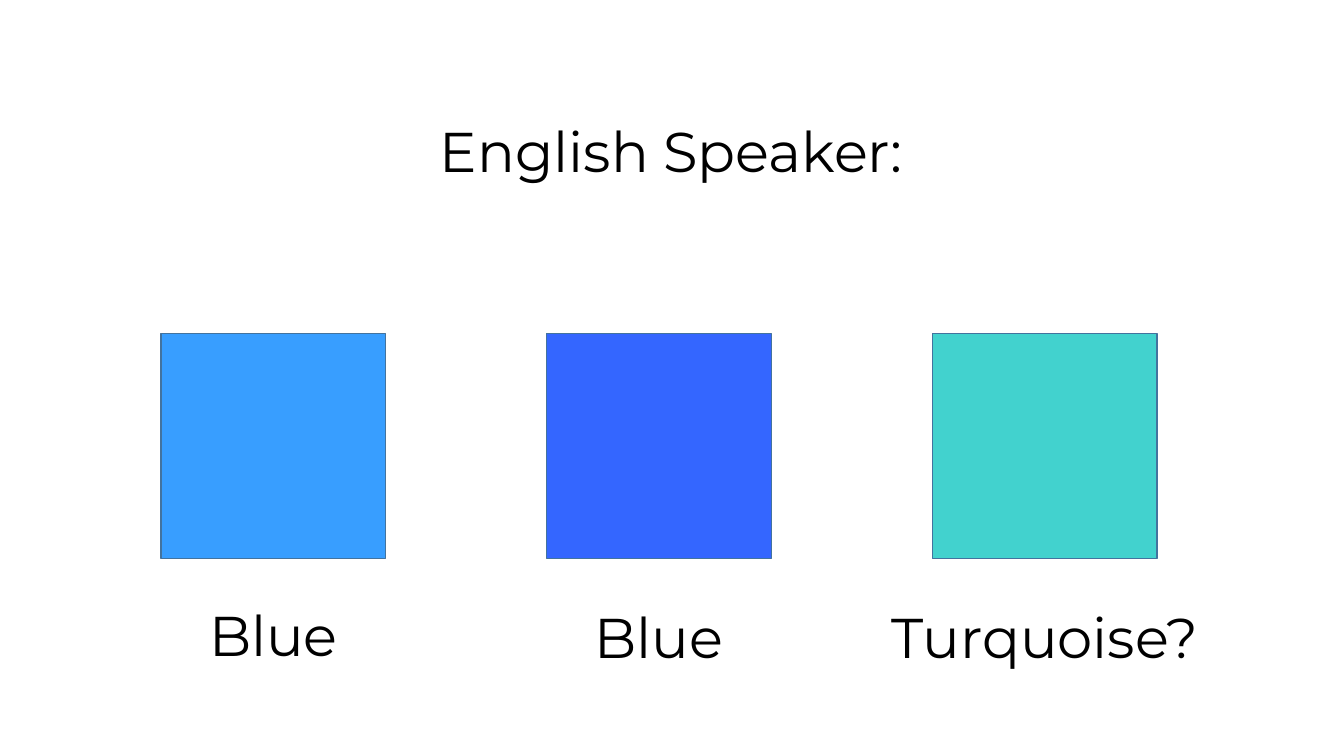
"""Build a slide of three colour swatches as an English speaker names them."""
from dataclasses import dataclass

from pptx import Presentation
from pptx.dml.color import RGBColor
from pptx.enum.shapes import MSO_SHAPE
from pptx.enum.text import MSO_ANCHOR, PP_ALIGN
from pptx.slide import Slide
from pptx.util import Cm, Pt

RECTANGLE = MSO_SHAPE.RECTANGLE
MIDDLE = MSO_ANCHOR.MIDDLE
CENTER = PP_ALIGN.CENTER

COLORS = {
    "text": "000000",
    "outline": "43739E",
    "light_blue": "389EFF",
    "blue": "3466FF",
    "turquoise": "42D2CE",
}
FONT = "Montserrat"
FONT_SIZE = 40

SWATCH_LEFT = 4.06
SWATCH_TOP = 8.41
SWATCH_SIZE = 5.66
SWATCH_PITCH = 9.72
LABEL_HEIGHT = 2.29


@dataclass(frozen=True)
class Box:
    left: float
    top: float
    width: float
    height: float

    def lengths(self) -> tuple[Cm, Cm, Cm, Cm]:
        return Cm(self.left), Cm(self.top), Cm(self.width), Cm(self.height)


@dataclass(frozen=True)
class Swatch:
    color: str
    label: str
    label_top: float
    label_width: float


SWATCHES = [
    Swatch("light_blue", "Blue", 14.95, 4.65),
    Swatch("blue", "Blue", 15, 4.65),
    Swatch("turquoise", "Turquoise?", 15, 8.48),
]


def rgb(color: str) -> RGBColor:
    return RGBColor.from_string(COLORS[color])


def add_caption(slide: Slide, wording: str, box: Box) -> None:
    frame = slide.shapes.add_textbox(*box.lengths()).text_frame
    frame.word_wrap = True
    frame.vertical_anchor = MIDDLE
    paragraph = frame.paragraphs[0]
    paragraph.alignment = CENTER
    paragraph.line_spacing = 0.9
    run = paragraph.add_run()
    run.text = wording
    run.font.name = FONT
    run.font.size = Pt(FONT_SIZE)
    run.font.color.rgb = rgb("text")


def add_swatch(slide: Slide, swatch: Swatch, column: int) -> None:
    left = SWATCH_LEFT + column * SWATCH_PITCH
    box = Box(left, SWATCH_TOP, SWATCH_SIZE, SWATCH_SIZE)
    square = slide.shapes.add_shape(RECTANGLE, *box.lengths())
    square.shadow.inherit = False
    square.fill.solid()
    square.fill.fore_color.rgb = rgb(swatch.color)
    square.line.color.rgb = rgb("outline")
    square.line.width = Pt(1)

    label_left = left + (SWATCH_SIZE - swatch.label_width) / 2
    add_caption(
        slide,
        swatch.label,
        Box(label_left, swatch.label_top, swatch.label_width, LABEL_HEIGHT),
    )


def main() -> None:
    presentation = Presentation()
    presentation.slide_width = Cm(33.87)
    presentation.slide_height = Cm(19.05)
    slide = presentation.slides.add_slide(presentation.slide_layouts[6])

    add_caption(slide, "English Speaker:", Box(2.31, 2.24, 29.21, 3.3))
    for column, swatch in enumerate(SWATCHES):
        add_swatch(slide, swatch, column)

    presentation.save("out.pptx")


if __name__ == "__main__":
    main()
